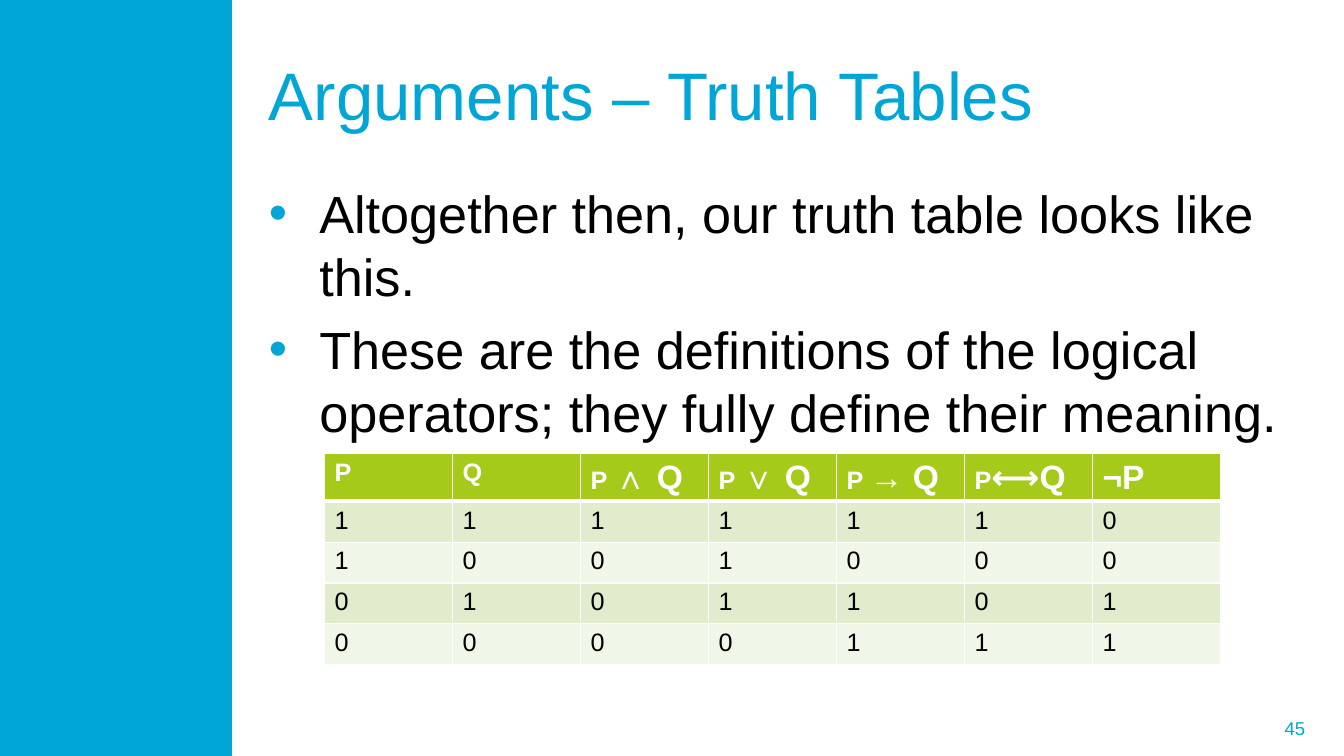
from lxml.etree import SubElement as Sub
from pptx import Presentation
from pptx.dml.color import RGBColor as RGB
from pptx.enum.shapes import MSO_SHAPE as Shape
from pptx.enum.text import MSO_ANCHOR as Anchor, PP_ALIGN as Align
from pptx.oxml.ns import qn
from pptx.util import Pt

# Content
TITLE = "Arguments – Truth Tables"
POINTS = [
    "Altogether then, our truth table looks like this.",
    "These are the definitions of the logical operators; they fully define their meaning.",
]
# Each heading is a small part and a large part
HEADS = [("P", ""), ("Q", ""), ("P ", "∧ Q"), ("P ", "∨ Q"),
         ("P ", "→ Q"), ("P", "⟷Q"), ("", "¬P")]
ROWS = ["1111110", "1001000", "0101101", "0000111"]
PAGE = "45"

COLORS = {"blue": "00A6D6", "black": "000000", "white": "FFFFFF",
          "green": "A5CA1A", "dark": "E1ECCD", "light": "F0F6E8"}
FONT = "Arial"
SMALL, LARGE = 18, 24
COL, ROW = 91.44, 29.2


def style(run, size, color, bold=False):
    font = run.font
    font.name, font.size, font.bold = FONT, Pt(size), bold
    font.color.rgb = RGB.from_string(COLORS[color])


def text_box(left, top, width, height, lines, size, color, anchor, pad):
    box = slide.shapes.add_textbox(Pt(left), Pt(top), Pt(width), Pt(height))
    frame = box.text_frame
    frame.text = "\n".join(lines)
    frame.word_wrap, frame.vertical_anchor = True, anchor
    frame.margin_left = frame.margin_right = Pt(pad[0])
    frame.margin_top = frame.margin_bottom = Pt(pad[1])
    for para in frame.paragraphs:
        style(para.runs[0], size, color)
    return frame.paragraphs


def bullet(para, indent):
    props = para._p.get_or_add_pPr()
    props.set("marL", str(Pt(indent)))
    props.set("indent", str(-Pt(indent)))
    Sub(Sub(props, qn("a:buClr")), qn("a:srgbClr"), val=COLORS["blue"])
    Sub(props, qn("a:buFont"), typeface=FONT)
    Sub(props, qn("a:buChar"), char="•")


def border(cell, row):
    props = cell._tc.get_or_add_tcPr()
    thick = {(0, "B"), (1, "T")}
    for side in "LRTB":
        width = 3 if (row, side) in thick else 1
        line = Sub(props, qn("a:ln" + side), w=str(Pt(width)))
        Sub(Sub(line, qn("a:solidFill")), qn("a:srgbClr"), val=COLORS["white"])


def fill(item, color):
    item.fill.solid()
    item.fill.fore_color.rgb = RGB.from_string(COLORS[color])


deck = Presentation()
deck.slide_width, deck.slide_height = Pt(960), Pt(540)
slide = deck.slides.add_slide(deck.slide_layouts[6])

# Page number and side band
number = text_box(698.4, 505.4, 243.4, 28.8, [PAGE], 13.3, "blue",
                  Anchor.MIDDLE, (9.4, 5))
number[0].alignment = Align.RIGHT
band = slide.shapes.add_shape(Shape.RECTANGLE, 0, 0, Pt(165.6), Pt(540))
band.shadow.inherit = False
fill(band, "blue")
band.line.fill.background()

# Title and bullets
text_box(185, 21.6, 746, 90, [TITLE], 48, "blue", Anchor.MIDDLE, (7.2, 3.6))
points = text_box(185, 126, 755.3, 183.6, POINTS, 37.3, "black",
                  Anchor.TOP, (7.2, 3.6))
for i, para in enumerate(points):
    if i:
        para.space_before = Pt(7.5)
    bullet(para, 36)

# Truth table
count = len(ROWS) + 1
table = slide.shapes.add_table(count, len(HEADS), Pt(231.84), Pt(324),
                               Pt(COL * len(HEADS)), Pt(ROW * count)).table
for col in table.columns:
    col.width = Pt(COL)
for r, row in enumerate([HEADS, *ROWS]):
    table.rows[r].height = Pt(ROW)
    for c, value in enumerate(row):
        cell = table.cell(r, c)
        border(cell, r)
        fill(cell, "green" if r == 0 else "dark" if r % 2 else "light")
        if r == 0:
            cell.margin_bottom = Pt(1.6)
        para = cell.text_frame.paragraphs[0]
        parts = zip(value, (SMALL, LARGE)) if r == 0 else [(value, SMALL)]
        for part, size in parts:
            if part:
                run = para.add_run()
                run.text = part
                style(run, size, "black" if r else "white", r == 0)

deck.save("out.pptx")
